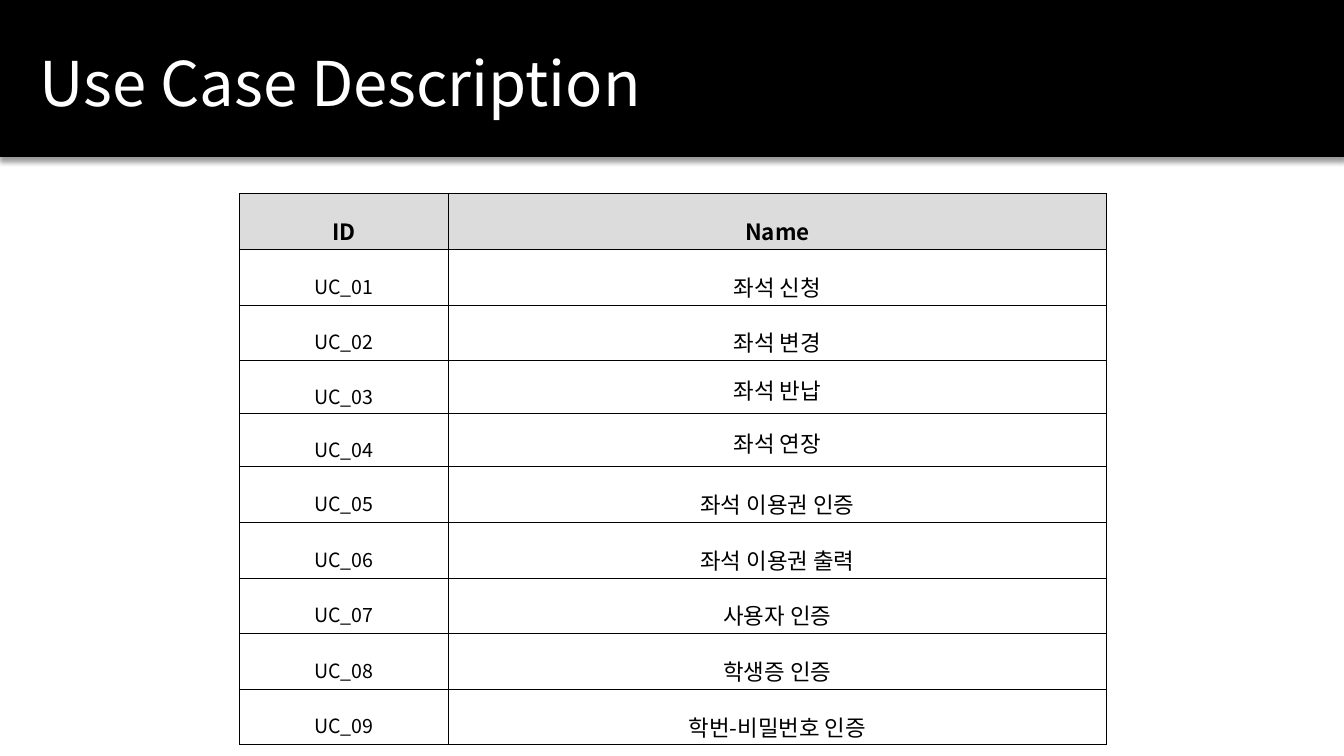
from dataclasses import dataclass

from lxml import etree
from pptx import Presentation
from pptx.dml.color import RGBColor
from pptx.enum.shapes import MSO_SHAPE
from pptx.enum.text import MSO_ANCHOR, PP_ALIGN
from pptx.oxml import parse_xml
from pptx.oxml.ns import nsdecls, qn
from pptx.util import Inches, Pt

RECTANGLE = MSO_SHAPE.RECTANGLE
MIDDLE = MSO_ANCHOR.MIDDLE
LEFT, CENTER = PP_ALIGN.LEFT, PP_ALIGN.CENTER
TITLE_ONLY = 5


@dataclass(frozen=True)
class Theme:
    """Colours, font and type sizes of the deck."""

    black: str = "000000"
    white: str = "FFFFFF"
    header: str = "DCDCDC"
    font: str = "Noto Sans CJK KR"
    title_size: int = 44
    name_size: int = 16
    id_size: int = 14
    border: float = 0.28


THEME = Theme()
USE_CASES = ["좌석 신청", "좌석 변경", "좌석 반납", "좌석 연장", "좌석 이용권 인증",
             "좌석 이용권 출력", "사용자 인증", "학생증 인증", "학번-비밀번호 인증"]
TIGHT_NAMES = {"좌석 반납", "좌석 연장"}


def write_text(frame, text, *, size, color=THEME.black, bold=False, align=CENTER, spacing=1.6):
    """Write one formatted paragraph into a text frame."""
    para = frame.paragraphs[0]
    para.alignment = align
    para.line_spacing = spacing
    span = para.add_run()
    span.text = text
    span.font.size = Pt(size)
    span.font.bold = bold
    span.font.name = THEME.font
    span.font.color.rgb = RGBColor.from_string(color)
    east_asian = etree.SubElement(span.font._element, qn("a:ea"))
    east_asian.set("typeface", THEME.font)


def add_shadow(shape):
    """Cast a soft shadow straight below the shape."""
    shape._element.spPr.append(parse_xml(
        f'<a:effectLst {nsdecls("a")}>'
        f'<a:outerShdw blurRad="{Pt(4)}" dist="{Pt(3)}" dir="5400000" rotWithShape="0">'
        f'<a:srgbClr val="{THEME.black}"><a:alpha val="40000"/></a:srgbClr>'
        '</a:outerShdw></a:effectLst>'))


def add_header(page, left, top, width, height):
    """Place the black banner behind the page title."""
    banner = page.shapes.add_shape(
        RECTANGLE, Inches(left), Inches(top), Inches(width), Inches(height))
    banner.fill.solid()
    banner.fill.fore_color.rgb = RGBColor.from_string(THEME.black)
    banner.line.color.rgb = RGBColor.from_string(THEME.black)
    banner.line.width = Pt(1)
    add_shadow(banner)

    title = page.shapes.title
    title._element.addprevious(banner._element)
    title.left, title.top = Inches(left + 0.29), Inches(top + 0.06)
    title.width, title.height = Inches(width - 0.57), Inches(height + 0.05)
    title.text_frame.word_wrap = True
    title.text_frame.vertical_anchor = MIDDLE
    write_text(title.text_frame, "Use Case Description", size=THEME.title_size,
               color=THEME.white, align=LEFT, spacing=0.9)


def format_cell(cell, fill=None):
    """Set the margins, borders and fill of a table cell."""
    cell.vertical_anchor = MIDDLE
    cell.margin_left = cell.margin_right = Inches(0.07)
    cell.margin_top = cell.margin_bottom = Inches(0.02)
    properties = cell._tc.get_or_add_tcPr()
    for side in ("lnL", "lnR", "lnT", "lnB"):
        properties.append(parse_xml(
            f'<a:{side} {nsdecls("a")} w="{Pt(THEME.border)}"><a:solidFill>'
            f'<a:srgbClr val="{THEME.black}"/></a:solidFill></a:{side}>'))
    if fill:
        cell.fill.solid()
        cell.fill.fore_color.rgb = RGBColor.from_string(fill)
    else:
        cell.fill.background()


def add_use_cases(page, left, top, width, height):
    """Place the table of use case numbers and names."""
    table = page.shapes.add_table(
        len(USE_CASES) + 1, 2, Inches(left), Inches(top), Inches(width), Inches(height)).table
    table.first_row = table.horz_banding = False
    id_width = 2.08
    table.columns[0].width = Inches(id_width)
    table.columns[1].width = Inches(width - id_width)

    for column, heading in enumerate(("ID", "Name")):
        cell = table.cell(0, column)
        format_cell(cell, THEME.header)
        write_text(cell.text_frame, heading, size=THEME.name_size, bold=True)

    for number, name in enumerate(USE_CASES, start=1):
        id_cell, name_cell = table.cell(number, 0), table.cell(number, 1)
        format_cell(id_cell)
        format_cell(name_cell)
        write_text(id_cell.text_frame, f"UC_{number:02d}", size=THEME.id_size)
        write_text(name_cell.text_frame, name, size=THEME.name_size,
                   spacing=1.2 if name in TIGHT_NAMES else 1.6)


def main():
    """Build the deck and save it."""
    deck = Presentation()
    deck.slide_width, deck.slide_height = Inches(13.33), Inches(7.5)
    page = deck.slides.add_slide(deck.slide_layouts[TITLE_ONLY])
    add_header(page, 0, 0, 13.33, 1.55)
    add_use_cases(page, 2.37, 1.92, 8.6, 5.27)
    deck.save("out.pptx")


if __name__ == "__main__":
    main()
